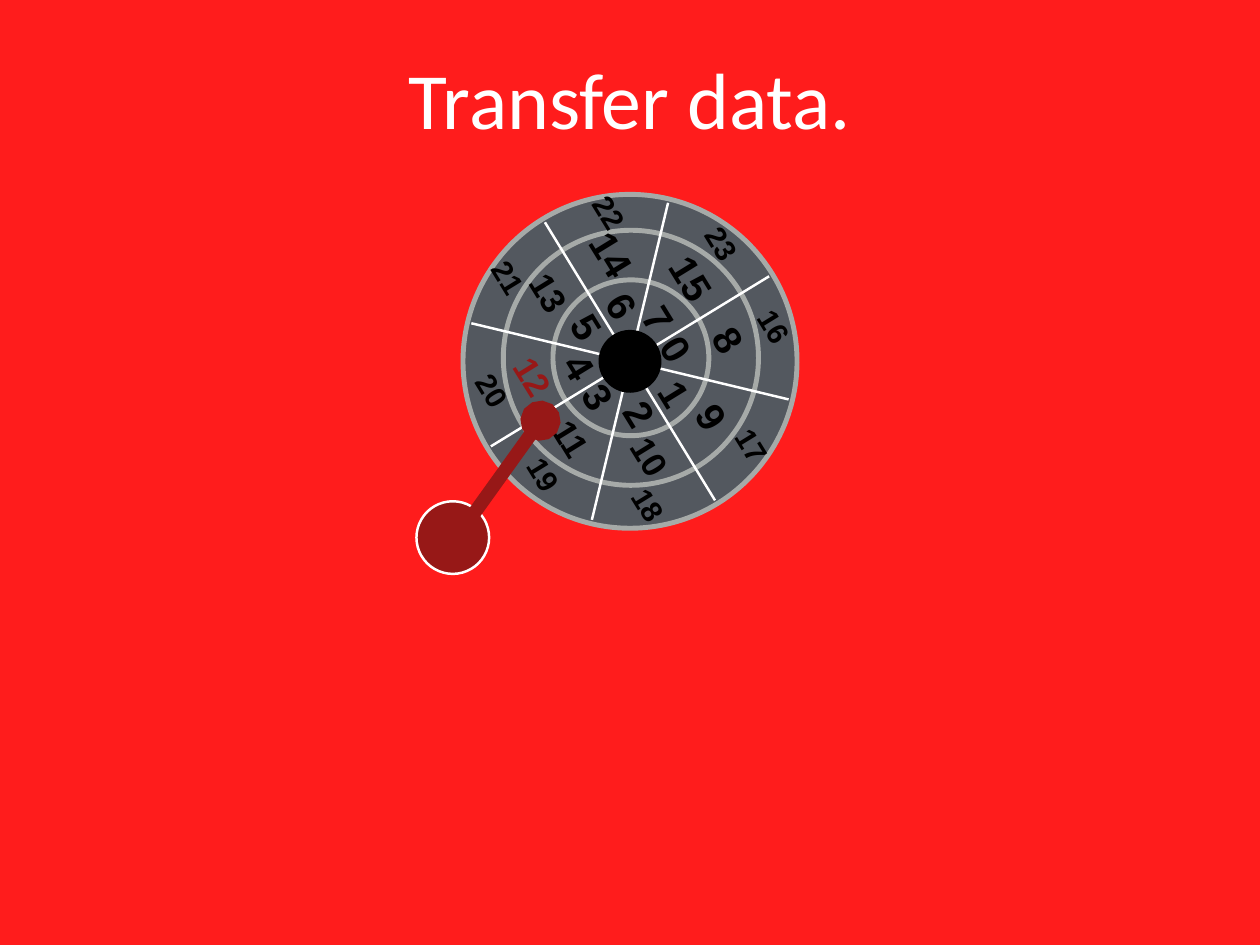
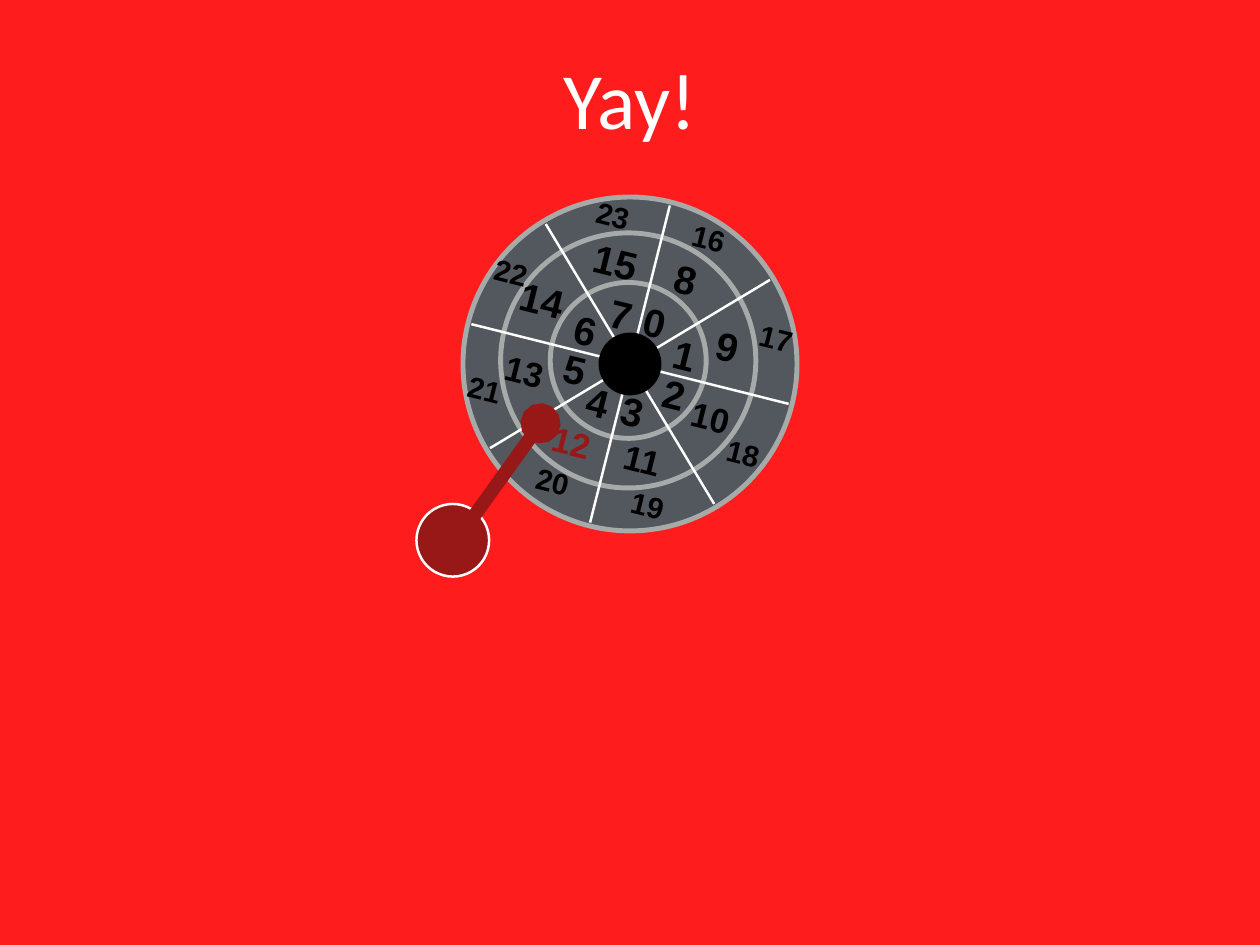
from math import cos, radians, sin
from typing import Any, NamedTuple, Optional

from lxml.etree import SubElement
from pptx import Presentation
from pptx.dml.color import RGBColor
from pptx.enum.shapes import MSO_CONNECTOR, MSO_SHAPE
from pptx.enum.text import MSO_ANCHOR, MSO_AUTO_SIZE, PP_ALIGN
from pptx.oxml.ns import qn
from pptx.util import Emu, Pt

SCALE = 9144
RED = "FF1C1C"
DARK = "971817"
SLATE = "53585F"
GREY = "A6AAA8"
WHITE = "FFFFFF"
BLACK = "000000"
TILT = 14
STEP = 45
SPOKE = 184
FRAME = {"vertical_anchor": MSO_ANCHOR.MIDDLE}


class Page(NamedTuple):
    title: str
    turn: float
    shift: int


class Ring(NamedTuple):
    x: int
    y: int
    size: int
    fill: str
    line: Optional[str]


class Label(NamedTuple):
    text: str
    x: int
    y: int
    size: int
    wide: int
    high: int
    tint: str = BLACK


class Hub(NamedTuple):
    x: int
    y: int
    turn: float

    def place(self, x: float, y: float) -> tuple[int, int]:
        a = radians(self.turn)
        return (round(self.x + x * cos(a) - y * sin(a)),
                round(self.y + x * sin(a) + y * cos(a)))


PAGES = [Page("Transfer data.", 44.4, 0), Page("Yay!", 0, 3)]

RINGS = [
    Ring(0, 0, 377, SLATE, GREY),
    Ring(-2, -4, 288, SLATE, GREY),
    Ring(-2, -4, 176, SLATE, GREY),
]
CORE = Ring(0, 0, 71, BLACK, None)

BIG = (32, 37, 64)
BROAD = (32, 62, 64)
MID = (28, 56, 58)
SMALL = (24, 50, 51)

LABELS = [
    Label("0", 28, -47, *BIG),
    Label("1", 62, -10, *BIG),
    Label("2", 50, 34, *BIG),
    Label("3", 3, 53, *BIG),
    Label("4", -36, 43, *BIG),
    Label("5", -62, 6, *BIG),
    Label("6", -50, -39, *BIG),
    Label("7", -10, -57, *BIG),
    Label("8", 63, -96, *BIG),
    Label("9", 110, -21, *BIG),
    Label("10", 91, 60, *MID),
    Label("11", 14, 108, *MID),
    Label("12", -66, 88, *MID, DARK),
    Label("13", -119, 8, *MID),
    Label("14", -99, -73, *BROAD),
    Label("15", -16, -116, *BROAD),
    Label("16", 89, -142, *SMALL),
    Label("17", 165, -29, *SMALL),
    Label("18", 128, 101, *SMALL),
    Label("19", 20, 159, *SMALL),
    Label("20", -87, 132, *SMALL),
    Label("21", -164, 28, *SMALL),
    Label("22", -134, -104, *SMALL),
    Label("23", -19, -168, *SMALL),
]


def px(*sides: int) -> list[Emu]:
    return [Emu(side * SCALE) for side in sides]


def tint(code: str) -> RGBColor:
    return RGBColor.from_string(code)


def style(item: Any, values: dict[str, Any]) -> None:
    for name, value in values.items():
        setattr(item, name, value)


def write(shapes: Any, text: str, box: list[Emu], frame: dict[str, Any],
          font: dict[str, Any], hue: str) -> Any:
    shape = shapes.add_textbox(*box)
    body = shape.text_frame
    style(body, FRAME | frame)
    para = body.paragraphs[0]
    para.alignment = PP_ALIGN.CENTER
    run = para.add_run()
    run.text = text
    style(run.font, font)
    run.font.color.rgb = tint(hue)
    return shape


def disc(shapes: Any, x: int, y: int, size: int, fill: str,
         line: Optional[str], width: int = 4) -> Any:
    shape = shapes.add_shape(MSO_SHAPE.OVAL, *px(x, y, size, size))
    shape.left -= shape.width // 2
    shape.top -= shape.height // 2
    shape.shadow.inherit = False
    shape.fill.solid()
    shape.fill.fore_color.rgb = tint(fill)
    if line:
        shape.line.color.rgb = tint(line)
        shape.line.width = Pt(width)
    else:
        shape.line.fill.background()
    return shape


def link(shapes: Any, start: tuple[int, int], end: tuple[int, int],
         hue: str, width: int, tail: Optional[str] = None) -> None:
    line = shapes.add_connector(MSO_CONNECTOR.STRAIGHT, *px(*start, *end))
    line.line.color.rgb = tint(hue)
    line.line.width = Pt(width)
    props = line._element.spPr
    if tail:
        SubElement(props.find(qn("a:ln")), qn("a:tailEnd"), type=tail)
    SubElement(props, qn("a:effectLst"))


def wheel(shapes: Any, hub: Hub) -> None:
    angle = TILT + hub.turn

    def band(ring: Ring) -> None:
        disc(shapes, *hub.place(ring.x, ring.y), *ring[2:]).rotation = angle

    for ring in RINGS:
        band(ring)
    for count in range(4):
        a = radians(TILT + STEP * count)
        x, y = SPOKE * cos(a), SPOKE * sin(a)
        link(shapes, hub.place(-x, -y), hub.place(x, y), WHITE, 2)
    band(CORE)
    inset = px(6)[0]
    frame = {"margin_left": inset, "margin_right": inset,
             "margin_top": inset, "margin_bottom": inset,
             "word_wrap": False, "auto_size": MSO_AUTO_SIZE.SHAPE_TO_FIT_TEXT}
    for label in LABELS:
        x, y = hub.place(label.x, label.y)
        left, top, wide, high = px(x, y, label.wide, label.high)
        font = {"name": "Arial", "size": Pt(label.size), "bold": True}
        box = [left - wide // 2, top - high // 2, wide, high]
        write(shapes, label.text, box, frame, font, label.tint).rotation = angle


def draw(deck: Any, page: Page) -> None:
    slide = deck.slides.add_slide(deck.slide_layouts[6])
    fill = slide.background.fill
    fill.solid()
    fill.fore_color.rgb = tint(RED)
    write(slide.shapes, page.title, px(121, 10, 1180, 200), {"word_wrap": True},
          {"name": "Calibri", "size": Pt(64.8)}, WHITE)
    group = slide.shapes.add_group_shape()
    wheel(group.shapes, Hub(711, 408 + page.shift, page.turn))
    disc(slide.shapes, 511, 607 + page.shift, 82, DARK, WHITE, 2)
    link(slide.shapes, (514, 609 + page.shift), (610, 475 + page.shift),
         DARK, 11, "oval")


def main() -> None:
    deck = Presentation()
    deck.slide_width, deck.slide_height = px(1422, 1067)
    for page in PAGES:
        draw(deck, page)
    deck.save("out.pptx")


if __name__ == "__main__":
    main()
